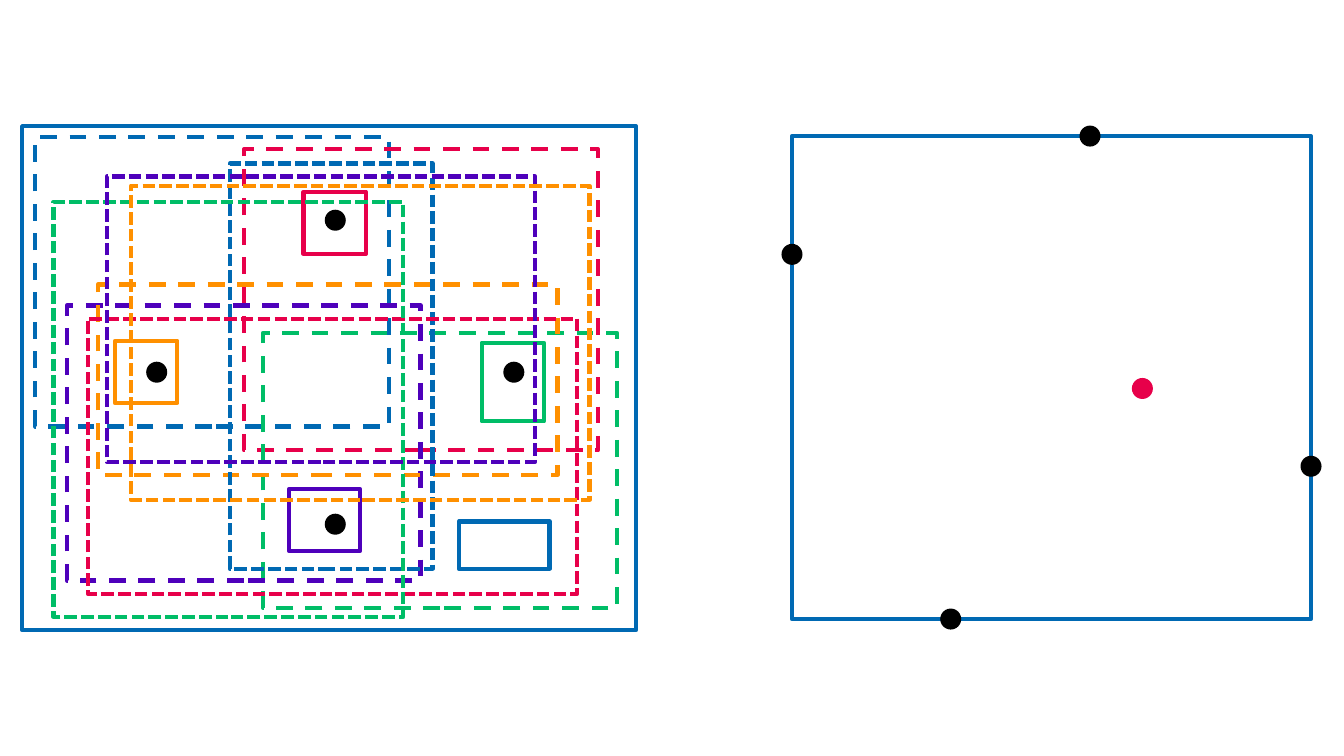
from dataclasses import dataclass

from pptx import Presentation
from pptx.dml.color import RGBColor
from pptx.enum.dml import MSO_LINE
from pptx.enum.shapes import MSO_SHAPE
from pptx.util import Cm, Pt


@dataclass(frozen=True)
class Theme:
    blue: str = "0069B3"
    red: str = "E7004A"
    green: str = "00BD67"
    violet: str = "4E00BB"
    orange: str = "FF9000"
    black: str = "000000"
    stroke: float = 3
    dot: float = 0.53


@dataclass(frozen=True)
class Box:
    left: float
    top: float
    width: float
    height: float

    def inner(self, left, top, width, height):
        return Box(self.left + left, self.top + top, width, height)


THEME = Theme()
HUES = (THEME.blue, THEME.red, THEME.green, THEME.violet, THEME.orange)

SOLID = (
    (7.09, 1.65, 1.57, 1.57),
    (11.58, 5.46, 1.57, 1.98),
    (6.73, 9.14, 1.78, 1.57),
    (2.34, 5.41, 1.57, 1.57),
)
DASHED = (
    (0.33, 0.28, 8.92, 7.29),
    (5.59, 0.58, 8.92, 7.59),
    (6.07, 5.21, 8.92, 6.93),
    (1.12, 4.52, 8.92, 6.93),
    (1.91, 3.99, 11.58, 4.8),
)
DENSE = (
    (5.23, 0.94, 5.11, 10.21),
    (1.65, 4.85, 12.34, 6.93),
    (0.79, 1.91, 8.81, 10.46),
    (2.13, 1.27, 10.8, 7.19),
    (2.74, 1.5, 11.56, 7.92),
)
LAST = (11, 9.96, 2.29, 1.19)


def add_shape(group, kind, box):
    shape = group.shapes.add_shape(
        kind, Cm(box.left), Cm(box.top), Cm(box.width), Cm(box.height)
    )
    shape.shadow.inherit = False
    return shape


def add_frame(group, box, hue, dash=None):
    frame = add_shape(group, MSO_SHAPE.RECTANGLE, box)
    frame.fill.background()
    frame.line.color.rgb = RGBColor.from_string(hue)
    frame.line.width = Pt(THEME.stroke)
    if dash is not None:
        frame.line.dash_style = dash


def add_dot(group, box, x, y, hue=THEME.black):
    size = THEME.dot
    spot = box.inner(x - size / 2, y - size / 2, size, size)
    dot = add_shape(group, MSO_SHAPE.OVAL, spot)
    dot.fill.solid()
    dot.fill.fore_color.rgb = RGBColor.from_string(hue)
    dot.line.fill.background()


def draw_nest(slide, box):
    group = slide.shapes.add_group_shape()
    mid_x, mid_y, reach_x, reach_y = 7.89, 6.2, 4.5, 3.83
    for side_x, side_y in ((1, 0), (-1, 0), (0, -1), (0, 1)):
        add_dot(group, box, mid_x + side_x * reach_x, mid_y + side_y * reach_y)
    add_frame(group, box, THEME.blue)
    layers = (
        (SOLID, HUES[1:], None),
        (DASHED, HUES, MSO_LINE.DASH),
        (DENSE, HUES, MSO_LINE.SQUARE_DOT),
        ((LAST,), HUES, None),
    )
    for frames, hues, dash in layers:
        for frame, hue in zip(frames, hues):
            add_frame(group, box.inner(*frame), hue, dash)


def draw_bound(slide, box):
    group = slide.shapes.add_group_shape()
    add_frame(group, box, THEME.blue)
    add_dot(group, box, 8.83, 6.36, THEME.red)
    edges = ((box.width, 8.32), (0, 2.98), (7.51, 0), (4, box.height))
    for x, y in edges:
        add_dot(group, box, x, y)


def main():
    deck = Presentation()
    deck.slide_width = Cm(33.87)
    deck.slide_height = Cm(19.05)
    slide = deck.slides.add_slide(deck.slide_layouts[6])
    draw_nest(slide, Box(0.56, 3.18, 15.47, 12.7))
    draw_bound(slide, Box(19.96, 3.43, 13.08, 12.17))
    deck.save("out.pptx")


if __name__ == "__main__":
    main()
